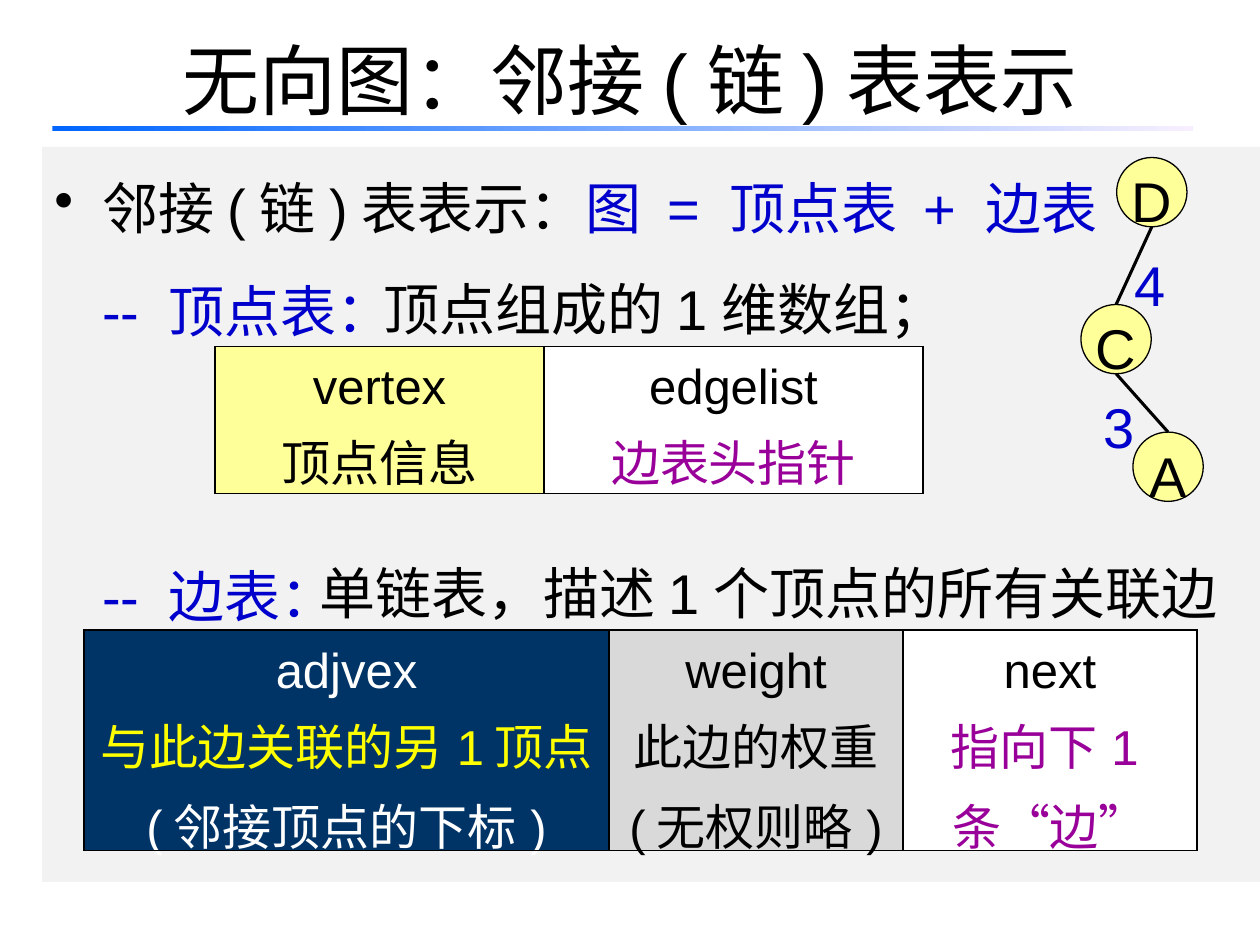
from lxml.etree import SubElement
from pptx import Presentation
from pptx.dml.color import RGBColor
from pptx.enum.shapes import MSO_CONNECTOR, MSO_SHAPE
from pptx.enum.text import MSO_ANCHOR, PP_ALIGN
from pptx.oxml.ns import qn
from pptx.util import Inches, Pt

BLACK = RGBColor(0x00, 0x00, 0x00)
WHITE = RGBColor(0xFF, 0xFF, 0xFF)
BLUE = RGBColor(0x00, 0x00, 0xCC)
NAVY = RGBColor(0x00, 0x33, 0x66)
PURPLE = RGBColor(0x99, 0x00, 0x99)
YELLOW = RGBColor(0xFF, 0xFF, 0x00)
CREAM = RGBColor(0xFF, 0xFF, 0x99)
PANEL = RGBColor(0xF2, 0xF2, 0xF2)
GREY = RGBColor(0xD9, 0xD9, 0xD9)
RULE_START = RGBColor(0x00, 0x66, 0xFF)
RULE_END = RGBColor(0xF7, 0xEF, 0xFF)


class Deck:
    """Slide builder whose lengths are counted on a grid of 120 columns by 90 rows."""

    font = "Arial"
    body = 32
    small = 28
    node_size = (6.7, 6.6)

    def __init__(self):
        self.prs = Presentation()
        self.prs.slide_width, self.prs.slide_height = Inches(10), Inches(7.5)
        self.s = self.prs.slides.add_slide(self.prs.slide_layouts[6])

    def grid(self, *units):
        return [Inches(u / 12) for u in units]

    def paragraph(self, p, runs, size=body, align=PP_ALIGN.LEFT, spacing=1.25, before=0):
        p.alignment, p.line_spacing, p.space_before = align, spacing, Pt(before)
        for text, color in runs:
            r = p.add_run()
            r.text = text
            r.font.name, r.font.size, r.font.color.rgb = self.font, Pt(size), color

    def text(self, box, text, color=BLACK, anchor=MSO_ANCHOR.TOP, **style):
        tf = self.s.shapes.add_textbox(*self.grid(*box)).text_frame
        tf.word_wrap, tf.vertical_anchor = True, anchor
        self.paragraph(tf.paragraphs[0], [(text, color)], **style)

    def shape(self, kind, box, fill=None, line=None):
        sp = self.s.shapes.add_shape(kind, *self.grid(*box))
        sp.shadow.inherit = False
        if fill is not None:
            sp.fill.solid()
            sp.fill.fore_color.rgb = fill
        if line is None:
            sp.line.fill.background()
        else:
            sp.line.color.rgb, sp.line.width = line, Pt(0.75)
        return sp

    def rule(self, box, start, end):
        fill = self.shape(MSO_SHAPE.RECTANGLE, box).fill
        fill.gradient()
        fill.gradient_angle = 0
        for stop, color in zip(fill.gradient_stops, (start, end)):
            stop.color.rgb = color

    def panel(self, box, items):
        tf = self.shape(MSO_SHAPE.RECTANGLE, box, PANEL).text_frame
        tf.word_wrap, tf.vertical_anchor = True, MSO_ANCHOR.TOP
        for i, (runs, before, bullet) in enumerate(items):
            p = tf.add_paragraph() if i else tf.paragraphs[0]
            self.paragraph(p, runs, align=PP_ALIGN.JUSTIFY, spacing=1.3, before=before)
            pPr = p._p.get_or_add_pPr()
            pPr.set("marL", str(Inches(0.38)))
            pPr.set("indent", str(Inches(-0.38 if bullet else 0)))
            if bullet:
                SubElement(pPr, qn("a:buChar"), char="•")

    def node(self, label, center, top):
        w, h = self.node_size
        sp = self.shape(MSO_SHAPE.OVAL, (center - w / 2, top, w, h), CREAM, BLACK)
        tf = sp.text_frame
        tf.word_wrap, tf.vertical_anchor = False, MSO_ANCHOR.MIDDLE
        self.paragraph(tf.paragraphs[0], [(label, BLACK)], align=PP_ALIGN.CENTER, before=10)

    def edge(self, start, end):
        x1, y1 = start
        ends = self.grid(x1, y1 + self.node_size[1], *end)
        cxn = self.s.shapes.add_connector(MSO_CONNECTOR.STRAIGHT, *ends)
        cxn.line.color.rgb, cxn.line.width = BLACK, Pt(1.75)
        SubElement(cxn._element.spPr, qn("a:effectLst"))

    def border(self, cell):
        tcPr = cell._tc.get_or_add_tcPr()
        for i, side in enumerate(("a:lnL", "a:lnR", "a:lnT", "a:lnB")):
            ln = tcPr.makeelement(qn(side), {"w": str(Pt(1))})
            SubElement(SubElement(ln, qn("a:solidFill")), qn("a:srgbClr"), val=str(BLACK))
            tcPr.insert(i, ln)

    def table(self, left, top, height, widths, cells):
        box = self.grid(left, top, sum(widths), height)
        table = self.s.shapes.add_table(1, len(widths), *box).table
        for col, width in zip(table.columns, self.grid(*widths)):
            col.width = width
        for cell, (fill, lines) in zip(table.rows[0].cells, cells):
            cell.fill.solid()
            cell.fill.fore_color.rgb = fill
            tf = cell.text_frame
            for i, line in enumerate(lines):
                p = tf.add_paragraph() if i else tf.paragraphs[0]
                self.paragraph(p, [line], self.small, PP_ALIGN.CENTER, 1.14)
            self.border(cell)


def main():
    d = Deck()
    d.text((6, 0, 108, 15), "无向图：邻接(链)表表示", anchor=MSO_ANCHOR.MIDDLE,
           size=44, align=PP_ALIGN.CENTER, spacing=1)
    d.panel((4, 14, 116, 70), [
        ([("邻接(链)表表示：", BLACK), ("图 = 顶点表 + 边表", BLUE)], 12, True),
        ([("-- 顶点表：", BLUE)], 9, False),
        ([("-- 边表：", BLUE)], 113, False),
    ])
    d.table(20.5, 33, 14, (31.3, 36.1), [
        (CREAM, [("vertex", BLACK), ("顶点信息", BLACK)]),
        (WHITE, [("edgelist", BLACK), ("边表头指针", PURPLE)]),
    ])
    d.table(8, 60, 21, (50, 28, 28), [
        (NAVY, [("adjvex", WHITE), ("与此边关联的另1顶点", YELLOW), ("(邻接顶点的下标)", WHITE)]),
        (GREY, [("weight", BLACK), ("此边的权重", BLACK), ("(无权则略)", BLACK)]),
        (WHITE, [("next", BLACK), ("指向下1条“边”", PURPLE)]),
    ])
    d.rule((5, 12, 108.6, 0.5), RULE_START, RULE_END)
    nodes = {"D": (109.7, 15), "C": (106.3, 29), "A": (111.25, 41.15)}
    for label, at in nodes.items():
        d.node(label, *at)
    for start, end in ("DC", "CA"):
        d.edge(nodes[start], nodes[end])
    for weight, left, top in (("4", 106.9, 21.7), ("3", 103.9, 35.15)):
        d.text((left, top, 9.1, 8.5), weight, BLUE, before=16)
    d.text((35.3, 24, 84.7, 9.25), "顶点组成的1维数组；", before=10)
    d.text((29.2, 51, 90.8, 9.25), "单链表，描述1个顶点的所有关联边", before=10)
    d.prs.save("out.pptx")


if __name__ == "__main__":
    main()
